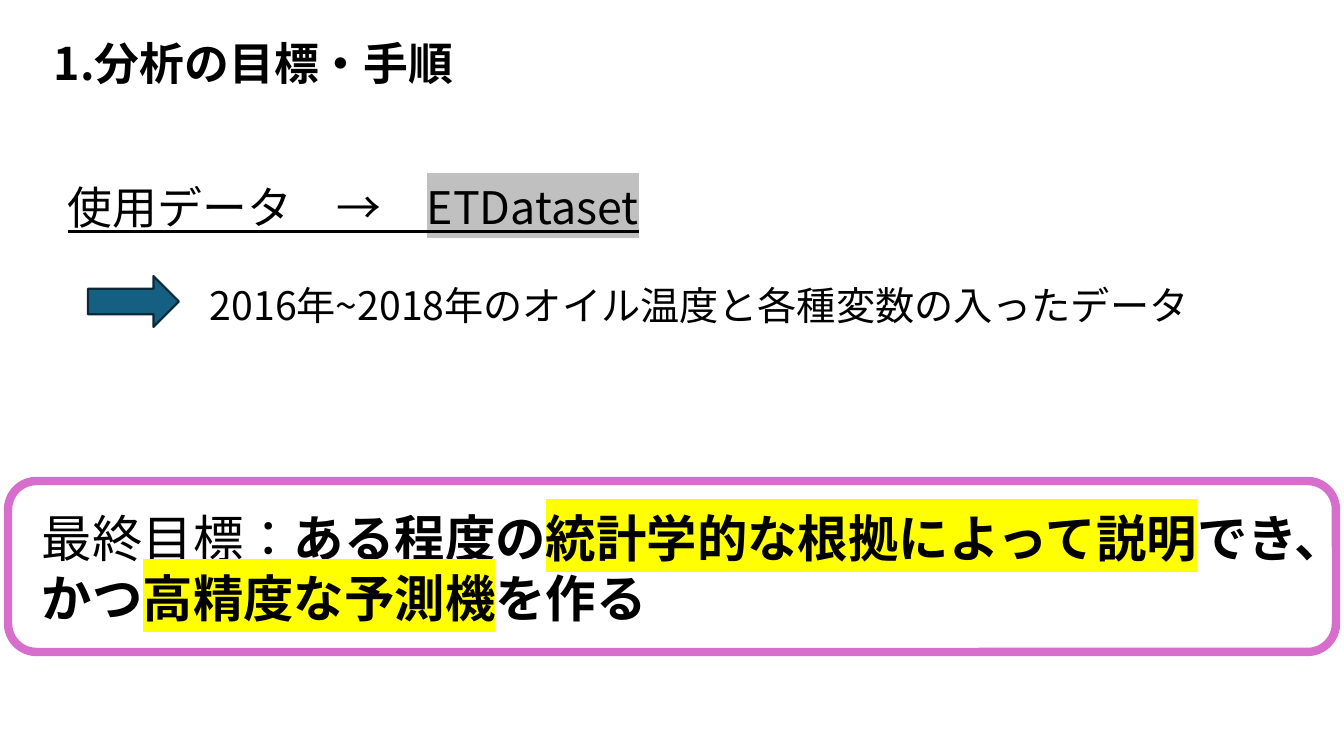
from dataclasses import dataclass

from lxml.etree import SubElement
from pptx import Presentation
from pptx.dml.color import RGBColor
from pptx.enum.lang import MSO_LANGUAGE_ID
from pptx.enum.shapes import MSO_SHAPE
from pptx.enum.text import MSO_AUTO_SIZE
from pptx.oxml.ns import qn
from pptx.util import Pt

EMU_PER_PX = 914400 / 100.8


@dataclass(frozen=True)
class Theme:
    """Holds the font, colours and type sizes of the slide."""

    font: str = "Noto Sans CJK JP"
    ink: str = "000000"
    gray_mark: str = "C0C0C0"
    yellow_mark: str = "FFFF00"
    arrow_fill: str = "156082"
    arrow_line: str = "092A39"
    frame_line: str = "D86ECC"
    heading: int = 32
    detail: int = 28
    goal: int = 36


def px(*lengths):
    """Turns lengths in px into EMU."""
    return [round(length * EMU_PER_PX) for length in lengths]


class SlideBuilder:
    """Draws styled elements on the current slide."""

    def __init__(self, slide, theme):
        self.slide = slide
        self.theme = theme

    def text(self, box, size, parts):
        """Adds a text box from (text, style) parts."""
        text_frame = self.slide.shapes.add_textbox(*px(*box)).text_frame
        text_frame.word_wrap = True
        text_frame.auto_size = MSO_AUTO_SIZE.SHAPE_TO_FIT_TEXT
        paragraph = text_frame.paragraphs[0]
        for content, style in parts:
            run = paragraph.add_run()
            run.text = content
            self.format_run(run, size, **style)

    def format_run(self, run, size, bold=False, underline=False, mark=None):
        """Sets the font, emphasis and highlight of a run."""
        font = run.font
        font.size = Pt(size)
        font.bold = bold
        font.underline = underline
        font.language_id = MSO_LANGUAGE_ID.JAPANESE
        font.color.rgb = RGBColor.from_string(self.theme.ink)
        properties = run._r.get_or_add_rPr()
        if mark:
            highlight = SubElement(properties, qn("a:highlight"))
            SubElement(highlight, qn("a:srgbClr"), val=mark)
        for script in ("a:latin", "a:ea"):
            SubElement(properties, qn(script), typeface=self.theme.font)

    def shape(self, kind, box, line, width, fill=None):
        """Adds a preset shape with an outline and an optional fill."""
        shape = self.slide.shapes.add_shape(kind, *px(*box))
        shape.shadow.inherit = False
        if fill:
            shape.fill.solid()
            shape.fill.fore_color.rgb = RGBColor.from_string(fill)
        else:
            shape.fill.background()
        shape.line.color.rgb = RGBColor.from_string(line)
        shape.line.width = Pt(width)


def main():
    """Builds and saves the slide."""
    presentation = Presentation()
    presentation.slide_width, presentation.slide_height = px(1344, 756)
    slide = presentation.slides.add_slide(presentation.slide_layouts[6])
    theme = Theme()
    builder = SlideBuilder(slide, theme)
    bold = {"bold": True}
    marked = {"bold": True, "mark": theme.yellow_mark}

    builder.text((44, 31, 432, 65), theme.heading, [("1.分析の目標・手順", bold)])
    builder.text((58, 175, 613, 65), theme.heading, [
        ("使用データ　→　", {"underline": True}),
        ("ETDataset", {"underline": True, "mark": theme.gray_mark}),
    ])
    builder.text((32, 502, 1303, 132), theme.goal, [
        ("最終目標：", {}),
        ("ある程度の", bold),
        ("統計学的な根拠によって説明", marked),
        ("でき、かつ", bold),
        ("高精度な予測機", marked),
        ("を作る", bold),
    ])
    builder.text((200, 276, 1022, 57), theme.detail, [
        ("2016年~2018年のオイル温度と各種変数の入ったデータ", {}),
    ])
    builder.shape(MSO_SHAPE.RIGHT_ARROW, (88, 276, 91, 51),
                  theme.arrow_line, 1.5, theme.arrow_fill)
    builder.shape(MSO_SHAPE.ROUNDED_RECTANGLE, (8, 481, 1328, 171),
                  theme.frame_line, 6)
    presentation.save("out.pptx")


if __name__ == "__main__":
    main()
